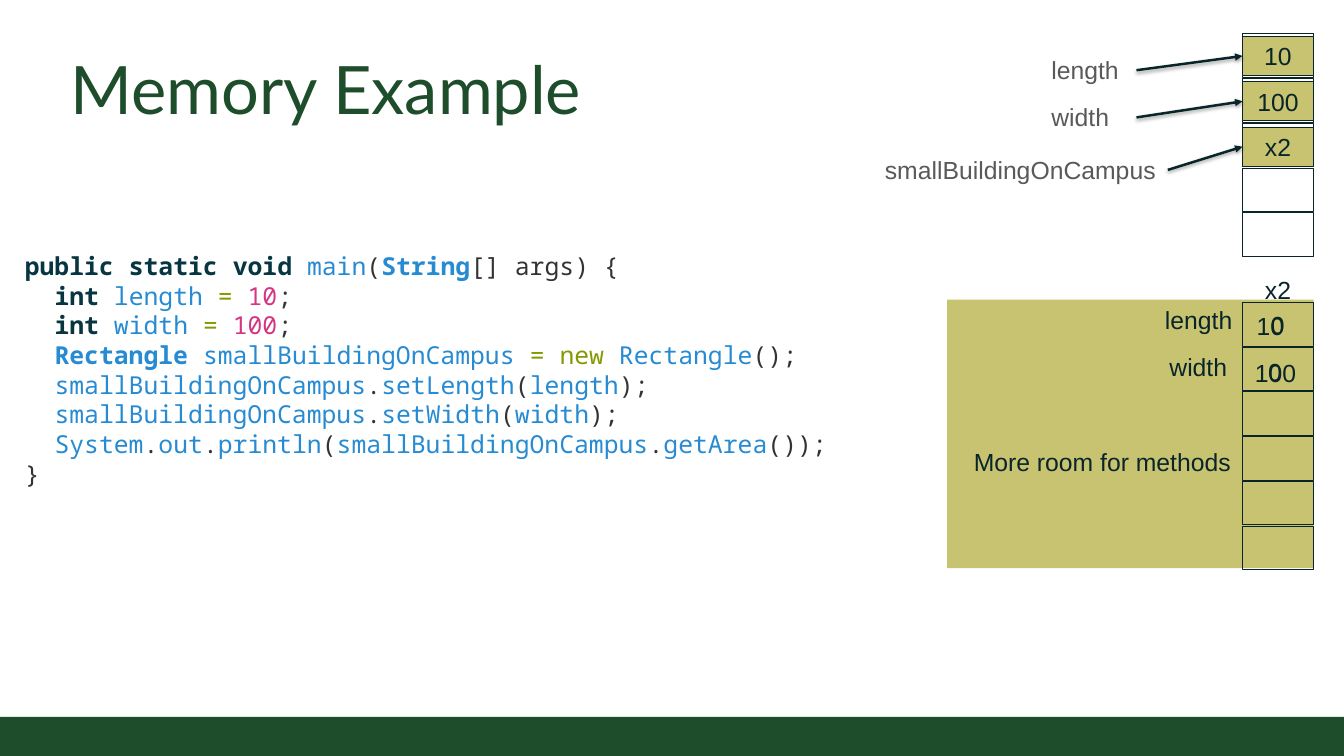
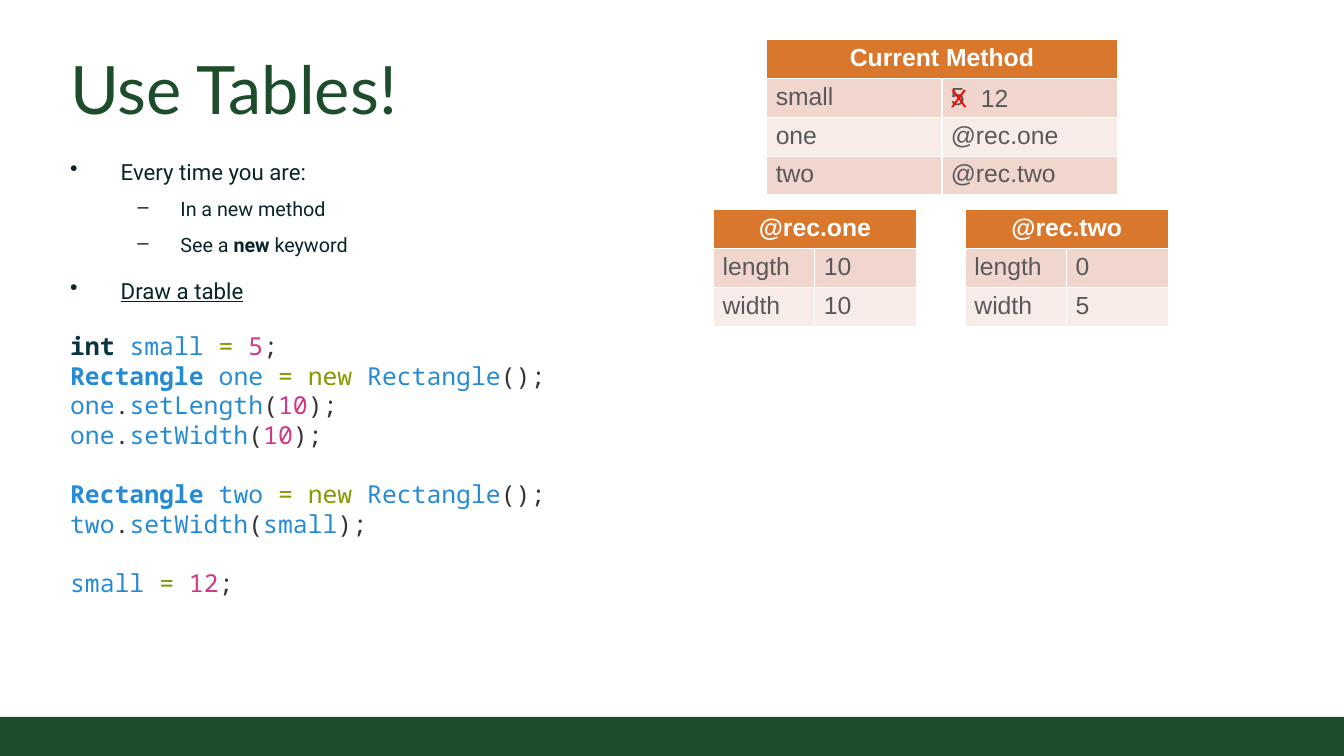
import itertools

import lxml.etree
import pptx
import pptx.dml.color
import pptx.enum.shapes
import pptx.enum.text
import pptx.oxml
import pptx.oxml.ns
import pptx.util

Pt = pptx.util.Pt
ALIGN = pptx.enum.text.PP_ALIGN
ANCHOR = pptx.enum.text.MSO_ANCHOR
RECTANGLE = pptx.enum.shapes.MSO_SHAPE.RECTANGLE

COLORS = {
    "green": "1E4D2B", "ink": "092529", "gray": "59595B", "olive": "C8C371",
    "white": "FFFFFF", "red": "FF0000", "orange": "D9782C",
    "row_dark": "F1D6CD", "row_light": "F8ECE8",
    "keyword": "073642", "name": "268BD2", "operator": "859900",
    "number": "D33682", "plain": "333333",
}
KEYWORDS = {"public", "static", "void", "int"}
PAGE_WIDTH, PAGE_HEIGHT = 1088, 612
CELL_LEFT, CELL_WIDTH = 1005.8, 57.6
LABEL_HEIGHT = 31.7
ROW_HEIGHT = 31.5

MAIN_CODE = """public static void main(String[] args) {
  int length = 10;
  int width = 100;
  Rectangle smallBuildingOnCampus = new Rectangle();
  smallBuildingOnCampus.setLength(length);
  smallBuildingOnCampus.setWidth(width);
  System.out.println(smallBuildingOnCampus.getArea());
}"""
TABLE_CODE = """int small = 5;
Rectangle one = new Rectangle();
one.setLength(10);
one.setWidth(10);

Rectangle two = new Rectangle();
two.setWidth(small);

small = 12;"""


def rgb(name):
    return pptx.dml.color.RGBColor.from_string(COLORS[name])


def set_font(font, size, name, color):
    font.size = Pt(size)
    font.name = name
    font.color.rgb = rgb(color)


def add_xml(parent, xml):
    namespace = pptx.oxml.ns.nsdecls("a")
    parent.append(pptx.oxml.parse_xml(xml.replace(" ", f" {namespace} ", 1)))


def add_span(para, text, color=None, bold=None):
    span = para.add_run()
    span.text = text
    span.font.bold = bold
    if color:
        span.font.color.rgb = rgb(color)
    return span


def add_box(page, left, top, width, height):
    box = page.shapes.add_textbox(Pt(left), Pt(top), Pt(width), Pt(height))
    box.text_frame.word_wrap = True
    return box


def add_label(page, text, left, top, width, color="ink", align=ALIGN.LEFT):
    box = add_box(page, left, top, width, LABEL_HEIGHT)
    para = box.text_frame.paragraphs[0]
    para.text = text
    para.alignment = align
    set_font(para.font, 20, "Arial", color)
    return box


def add_rectangle(page, left, top, width, height, fill=None, line=None):
    shape = page.shapes.add_shape(
        RECTANGLE, Pt(left), Pt(top), Pt(width), Pt(height))
    shape.shadow.inherit = False
    if fill:
        shape.fill.solid()
        shape.fill.fore_color.rgb = rgb(fill)
    else:
        shape.fill.background()
    if line:
        shape.line.color.rgb = rgb(line)
        shape.line.width = Pt(0.75)
    else:
        shape.line.fill.background()
    return shape


def add_memory_column(page, top, count):
    for index in range(count):
        add_rectangle(page, CELL_LEFT, top + index * 36.2, CELL_WIDTH, 35.3,
                      line="ink")


def add_value_cell(page, text, top):
    cell = add_rectangle(page, CELL_LEFT, top, CELL_WIDTH, LABEL_HEIGHT,
                         "olive", "ink")
    para = cell.text_frame.paragraphs[0]
    para.text = text
    para.alignment = ALIGN.CENTER
    set_font(para.font, 20, "Arial", "ink")
    return cell


def add_arrow(page, label, cell):
    """Point from the right side of a label to the left side of a cell."""
    arrow = page.shapes.add_connector(
        pptx.enum.shapes.MSO_CONNECTOR.STRAIGHT, 0, 0, 0, 0)
    arrow.begin_connect(label, 3)
    arrow.end_connect(cell, 1)
    arrow.line.color.rgb = rgb("ink")
    arrow.line.width = Pt(2)
    add_xml(arrow.line._get_or_add_ln(), '<a:tailEnd type="triangle"/>')
    add_xml(arrow.element.spPr,
            '<a:effectLst ><a:outerShdw blurRad="39370" dist="20320" '
            'dir="5400000" rotWithShape="0"><a:srgbClr val="000000">'
            '<a:alpha val="38000"/></a:srgbClr></a:outerShdw></a:effectLst>')


def token_style(token, following):
    """Give the colour and weight of a code token from its text and successor."""
    if token in KEYWORDS:
        return "keyword", True
    if token in ("new", "="):
        return "operator", False
    if token.isdigit():
        return "number", False
    if token.isalnum() and token != "args":
        is_type = token[0].isupper() and following[:1] in (" ", "[")
        return "name", is_type
    return "plain", False


def add_code(page, code, left, top, width, height):
    frame = add_box(page, left, top, width, height).text_frame
    para, gap = frame.paragraphs[0], 0
    for number, line in enumerate(code.splitlines()):
        if not line:
            gap = 24
            continue
        if number:
            para = frame.add_paragraph()
        para.space_before = Pt(gap)
        gap = 0
        set_font(para.font, 20, "Noto Sans Mono", "plain")
        groups = itertools.groupby(line, lambda c: (c.isalnum(), c == "="))
        tokens = ["".join(group) for _, group in groups]
        for token, following in zip(tokens, tokens[1:] + [""]):
            add_span(para, token, *token_style(token, following))


def add_bullet(frame, level, parts):
    """Add a bullet whose parts are (text, bold, underline) spans."""
    first = not frame.paragraphs[0].runs
    para = frame.paragraphs[0] if first else frame.add_paragraph()
    mark, margin, indent, size = (("•", 41, -41, 18), ("–", 89.3, -34.6, 16))[level]
    para.level = level
    para.line_spacing = 1.2
    para.space_before = Pt(0 if first or level else 6)
    para.space_after = Pt(6)
    properties = para._p.get_or_add_pPr()
    properties.set("marL", str(Pt(margin)))
    properties.set("indent", str(Pt(indent)))
    add_xml(properties, f'<a:buChar char="{mark}"/>')
    set_font(para.font, size, "Roboto", "ink")
    for text, bold, underline in parts:
        add_span(para, text, bold=bold).font.underline = underline


def fill_cell(cell, text, fill, color, bold=False, align=ALIGN.LEFT):
    cell.fill.solid()
    cell.fill.fore_color.rgb = rgb(fill)
    para = cell.text_frame.paragraphs[0]
    para.alignment = align
    set_font(para.font, 20, "Arial", color)
    add_span(para, text, color, bold)


def add_variable_table(page, heading, rows, left, top, width):
    table = page.shapes.add_table(
        len(rows) + 1, 2, Pt(left), Pt(top), Pt(width),
        Pt(ROW_HEIGHT * (len(rows) + 1))).table
    table.cell(0, 0).merge(table.cell(0, 1))
    fill_cell(table.cell(0, 0), heading, "orange", "white", True, ALIGN.CENTER)
    for row, values in enumerate(rows, 1):
        fill = "row_dark" if row % 2 else "row_light"
        for column, value in enumerate(values):
            fill_cell(table.cell(row, column), value, fill, "gray")


def add_page(deck, title):
    page = deck.slides.add_slide(deck.slide_layouts[5])
    holder = page.shapes.title
    holder.left, holder.top = Pt(49.7), Pt(31)
    holder.width, holder.height = Pt(989.3), Pt(80)
    frame = holder.text_frame
    frame.auto_size = pptx.enum.text.MSO_AUTO_SIZE.NONE
    frame.vertical_anchor = ANCHOR.BOTTOM
    frame.margin_left = frame.margin_right = Pt(7.2)
    frame.margin_top = frame.margin_bottom = Pt(7.2)
    para = frame.paragraphs[0]
    para.text = title
    para.alignment = ALIGN.LEFT
    set_font(para.font, 54, "Lato", "green")
    return page


def add_layout_band(deck, page):
    """Move a band drawn on a page to the layout that all pages share."""
    band = add_rectangle(page, 0, 580.3, PAGE_WIDTH, 31.7, "green")
    deck.slide_layouts[5].shapes.element.insert(2, band.element)


def build_memory_page(page):
    add_rectangle(page, 766.8, 242.6, 296.6, 217.4, "olive")
    add_memory_column(page, 27.4, 5)
    add_memory_column(page, 244.8, 6)
    variables = (("length", "10", 844, 41, 76), ("width", "100", 844, 79.2, 76),
                 ("smallBuildingOnCampus", "x2", 709.2, 121.7, 236.2))
    for index, (name, value, left, top, width) in enumerate(variables):
        label = add_label(page, name, left, top, width, "gray")
        cell = add_value_cell(page, value, 29.5 + index * 36.7)
        add_arrow(page, label, cell)
    for text, left, top, width in (
            ("length", 936, 243.4, 72), ("width", 939.6, 281.5, 64),
            ("More room for methods", 781.2, 357.8, 226),
            ("0", 1021.7, 247, 26), ("10", 1010.2, 247.7, 40),
            ("0", 1019.5, 285.1, 26), ("100", 1008.7, 285.8, 50)):
        add_label(page, text, left, top, width)
    add_label(page, "x2", CELL_LEFT, 218.9, CELL_WIDTH, align=ALIGN.CENTER)
    add_code(page, MAIN_CODE, 13, 199.4, 719.3, 200.9)


def build_table_page(page):
    frame = add_box(page, 49.7, 116.6, 476, 134.6).text_frame
    frame.margin_top = frame.margin_bottom = Pt(7.2)
    add_bullet(frame, 0, [("Every time you are:", None, None)])
    add_bullet(frame, 1, [("In a new method", None, None)])
    add_bullet(frame, 1, [("See a ", None, None), ("new", True, None),
                          (" keyword", None, None)])
    add_bullet(frame, 0, [("Draw a table", None, True)])
    add_code(page, TABLE_CODE, 49.7, 264.2, 435.6, 225.4)

    add_variable_table(page, "Current Method", (
        ("small", "5"), ("one", "@rec.one"), ("two", "@rec.two")),
        620.8, 31.9, 283.6)
    add_variable_table(page, "@rec.one", (("length", "10"), ("width", "10")),
                       577.7, 169.7, 164)
    add_variable_table(page, "@rec.two", (("length", "0"), ("width", "5")),
                       781.6, 169.7, 164)

    change = add_box(page, 762.5, 63.4, 62.6, LABEL_HEIGHT)
    para = change.text_frame.paragraphs[0]
    add_xml(para._p.get_or_add_pPr(),
            f'<a:tabLst ><a:tab pos="{Pt(24.5)}" algn="l"/></a:tabLst>')
    set_font(para.font, 20, "Arial", "gray")
    add_span(para, "X", "red")
    add_span(para, "\t12")


def main():
    deck = pptx.Presentation()
    deck.slide_width, deck.slide_height = Pt(PAGE_WIDTH), Pt(PAGE_HEIGHT)
    memory_page = add_page(deck, "Memory Example")
    add_layout_band(deck, memory_page)
    build_memory_page(memory_page)
    build_table_page(add_page(deck, "Use Tables!"))
    deck.save("out.pptx")


if __name__ == "__main__":
    main()
